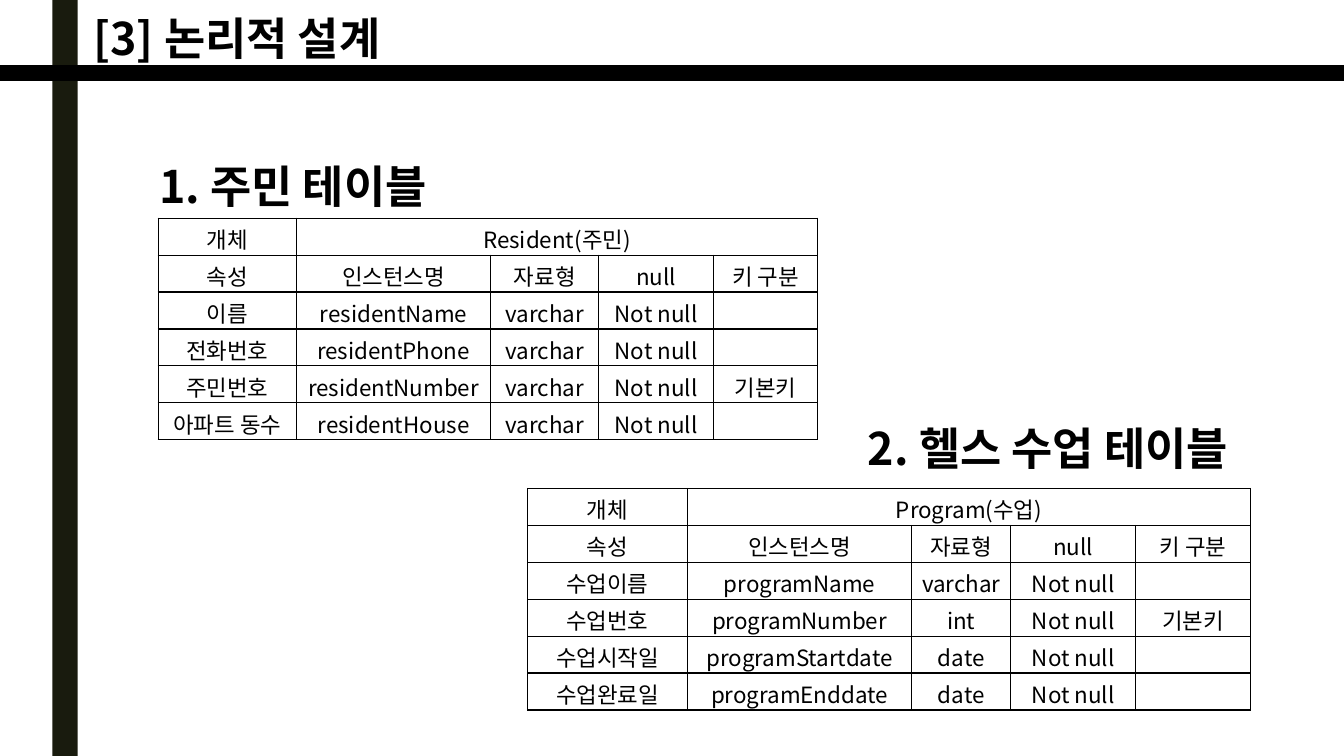
from lxml import etree
from pptx import Presentation
from pptx.dml.color import RGBColor
from pptx.enum.shapes import MSO_CONNECTOR, MSO_SHAPE
from pptx.enum.text import MSO_AUTO_SIZE, PP_ALIGN
from pptx.oxml.ns import qn
from pptx.util import Cm, Pt

BLACK = RGBColor(0x00, 0x00, 0x00)
OLIVE = RGBColor(0x19, 0x1B, 0x0E)
FONT = "Noto Sans CJK KR"
LINE = MSO_CONNECTOR.STRAIGHT
RECT = MSO_SHAPE.RECTANGLE
GROW = MSO_AUTO_SIZE.SHAPE_TO_FIT_TEXT
MID = PP_ALIGN.CENTER
WIDTH, HEIGHT = 33.87, 19.05
ROW = 0.93

HEADS = ["속성", "인스턴스명", "자료형", "null", "키 구분"]
RESIDENT = [
    ["개체", "Resident(주민)"],
    HEADS,
    ["이름", "residentName", "varchar", "Not null", ""],
    ["전화번호", "residentPhone", "varchar", "Not null", ""],
    ["주민번호", "residentNumber", "varchar", "Not null", "기본키"],
    ["아파트 동수", "residentHouse", "varchar", "Not null", ""],
]
PROGRAM = [
    ["개체", "Program(수업)"],
    HEADS,
    ["수업이름", "programName", "varchar", "Not null", ""],
    ["수업번호", "programNumber", "int", "Not null", "기본키"],
    ["수업시작일", "programStartdate", "date", "Not null", ""],
    ["수업완료일", "programEnddate", "date", "Not null", ""],
]


class Deck:
    """Holds the text style and the current slide."""

    def __init__(self, slide, font, ink):
        self.shapes = slide.shapes
        self.font = font
        self.ink = ink

    def bar(self, left, top, width, height, fill):
        box = self.shapes.add_shape(RECT, Cm(left), Cm(top), Cm(width), Cm(height))
        box.shadow.inherit = False
        box.fill.solid()
        box.fill.fore_color.rgb = fill
        box.line.fill.background()

    def rule(self, top, weight):
        line = self.shapes.add_connector(LINE, 0, Cm(top), Cm(WIDTH), Cm(top))
        line.line.color.rgb = self.ink
        line.line.width = Pt(weight)
        etree.SubElement(line._element.spPr, qn("a:effectLst"))

    def put(self, para, text, size, bold=False):
        """Adds a styled run to a paragraph."""
        run = para.add_run()
        run.text = text
        run.font.name = self.font
        run.font.size = Pt(size)
        run.font.bold = bold
        run.font.color.rgb = self.ink
        east = etree.SubElement(run._r.get_or_add_rPr(), qn("a:ea"))
        east.set("typeface", self.font)

    def title(self, text, left, top, width, height, space=1.0):
        box = self.shapes.add_textbox(Cm(left), Cm(top), Cm(width), Cm(height))
        frame = box.text_frame
        frame.word_wrap = True
        frame.auto_size = GROW
        para = frame.paragraphs[0]
        para.line_spacing = space
        self.put(para, text, 32, True)

    def edge(self, cell):
        """Draws a thin line on all four sides of a cell."""
        props = cell._tc.get_or_add_tcPr()
        for side in ("lnL", "lnR", "lnT", "lnB"):
            line = etree.SubElement(props, qn("a:" + side), w=str(Pt(1)))
            fill = etree.SubElement(line, qn("a:solidFill"))
            etree.SubElement(fill, qn("a:srgbClr"), val=str(self.ink))

    def grid(self, rows, left, top, widths):
        frame = self.shapes.add_table(len(rows), len(widths), Cm(left), Cm(top),
                                      Cm(sum(widths)), Cm(ROW * len(rows)))
        table = frame.table
        table.first_row = table.horz_banding = False
        for col, width in zip(table.columns, widths):
            col.width = Cm(width)
        for r, row in enumerate(rows):
            table.rows[r].height = Cm(ROW)
            for c in range(len(widths)):
                cell = table.cell(r, c)
                cell.margin_top, cell.margin_bottom = Cm(0.11), 0
                cell.margin_left = cell.margin_right = Cm(0.18)
                self.edge(cell)
                cell.fill.background()
                para = cell.text_frame.paragraphs[0]
                para.alignment = MID
                para.font.size = Pt(16)
                if c < len(row) and row[c]:
                    self.put(para, row[c], 16)
        table.cell(0, 1).merge(table.cell(0, len(widths) - 1))


def main():
    deck = Presentation()
    deck.slide_width, deck.slide_height = Cm(WIDTH), Cm(HEIGHT)
    page = Deck(deck.slides.add_slide(deck.slide_layouts[6]), FONT, BLACK)
    page.bar(1.32, 0, 0.64, HEIGHT, OLIVE)
    page.rule(1.84, 11.5)
    page.title("[3] 논리적 설계", 2.11, 0.15, 11.2, 1.63)
    page.grid(RESIDENT, 3.99, 5.5, [3.48, 4.9, 2.72, 2.89, 2.62])
    page.title("1. 주민 테이블", 3.76, 3.2, 7.87, 2.06, 1.5)
    page.grid(PROGRAM, 13.3, 12.31, [4.02, 5.66, 2.49, 3.15, 2.9])
    page.title("2. 헬스 수업 테이블", 21.62, 9.8, 10.49, 2.06, 1.5)
    deck.save("out.pptx")


if __name__ == "__main__":
    main()
